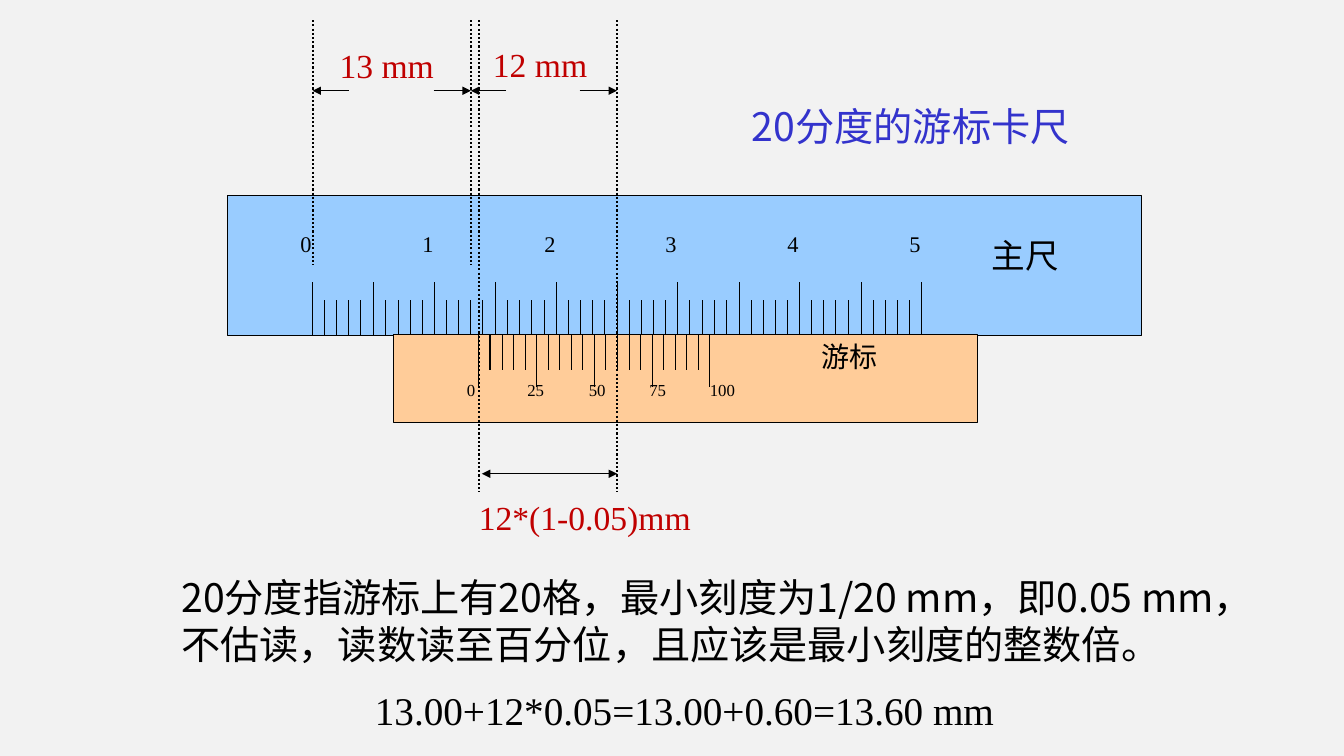
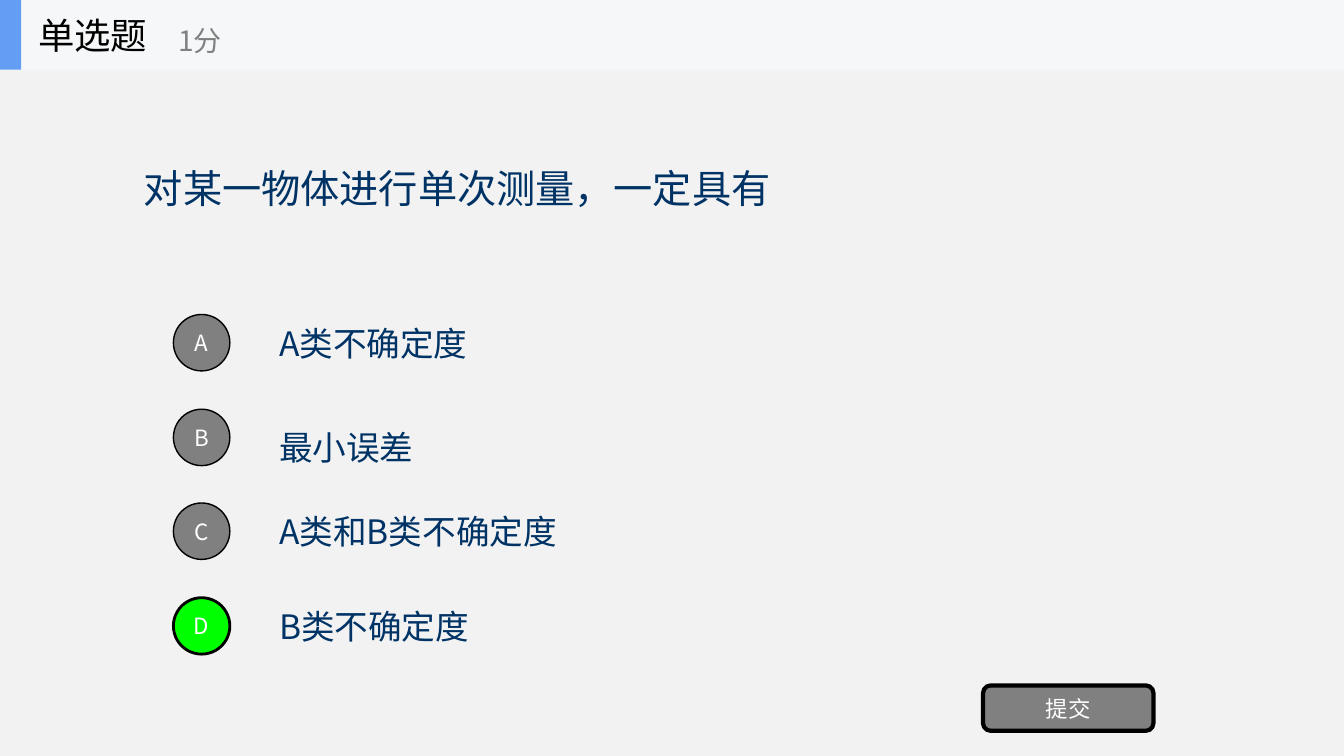
from pptx import Presentation
from pptx.dml.color import RGBColor
from pptx.enum.dml import MSO_LINE
from pptx.enum.shapes import MSO_CONNECTOR, MSO_SHAPE
from pptx.enum.text import MSO_ANCHOR, PP_ALIGN
from pptx.oxml.ns import qn
from pptx.util import Emu, Pt
from lxml.etree import SubElement

PX = 9144
SANS = "Noto Sans CJK SC"
SERIF = "Times New Roman"
COLORS = {
    "background": "F2F2F2",
    "black": "000000",
    "white": "FFFFFF",
    "gray": "808080",
    "main scale": "99CCFF",
    "vernier": "FFCC99",
    "title": "3333CC",
    "measure": "C00000",
    "header": "F6F7F8",
    "accent": "639EF4",
    "question": "003365",
    "correct": "00FF00",
}


def px(length):
    return Emu(length * PX)


def color(name):
    return RGBColor.from_string(COLORS[name])


def write_text(frame, text, size=24, font=SANS, fill="black", align=PP_ALIGN.LEFT,
               anchor=MSO_ANCHOR.TOP, spacing=None, wrap=True, inset=True):
    frame.word_wrap = wrap
    frame.vertical_anchor = anchor
    if not inset:
        frame.margin_left = frame.margin_right = 0
        frame.margin_top = frame.margin_bottom = 0
    paragraph = frame.paragraphs[0]
    paragraph.alignment = align
    if spacing:
        paragraph.line_spacing = spacing
    run = paragraph.add_run()
    run.text = text
    run.font.size = Pt(size)
    run.font.color.rgb = color(fill)
    run.font.name = font
    SubElement(run.font._element, qn("a:ea")).set("typeface", SANS)


class Deck:
    def __init__(self, width, height):
        self.presentation = Presentation()
        self.presentation.slide_width = px(width)
        self.presentation.slide_height = px(height)
        self.slide = None

    def new_slide(self):
        self.slide = self.presentation.slides.add_slide(self.presentation.slide_layouts[6])
        background = self.slide.background.fill
        background.solid()
        background.fore_color.rgb = color("background")

    def text(self, left, top, width, height, text, **style):
        box = self.slide.shapes.add_textbox(px(left), px(top), px(width), px(height))
        write_text(box.text_frame, text, **style)

    def shape(self, left, top, width, height, fill, kind=MSO_SHAPE.RECTANGLE, border=None, label=None):
        shape = self.slide.shapes.add_shape(kind, px(left), px(top), px(width), px(height))
        shape.shadow.inherit = False
        shape.fill.solid()
        shape.fill.fore_color.rgb = color(fill)
        if border:
            shape.line.color.rgb = color("black")
            shape.line.width = Pt(border)
        else:
            shape.line.fill.background()
        if label:
            write_text(shape.text_frame, label, size=16, fill="white", align=PP_ALIGN.CENTER,
                       anchor=MSO_ANCHOR.MIDDLE, wrap=False, inset=False)

    def line(self, x1, y1, x2, y2, width=0.75, dotted=False, arrows=()):
        connector = self.slide.shapes.add_connector(
            MSO_CONNECTOR.STRAIGHT, px(x1), px(y1), px(x2), px(y2))
        connector.line.color.rgb = color("black")
        connector.line.width = Pt(width)
        if dotted:
            connector.line.dash_style = MSO_LINE.ROUND_DOT
        properties = connector._element.spPr
        for end in arrows:
            SubElement(properties.find(qn("a:ln")), qn(f"a:{end}")).set("type", "triangle")
        SubElement(properties, qn("a:effectLst"))

    def ticks(self, first, last, count, base, short, tall):
        for index in range(count + 1):
            x = round(first + (last - first) * index / count)
            self.line(x, base, x, tall if index % 5 == 0 else short)

    def scale_labels(self, first, last, top, width, height, labels, size):
        step = (last - first) / (len(labels) - 1)
        for index, label in enumerate(labels):
            self.text(round(first + step * index), top, width, height, label,
                      size=size, font=SERIF, inset=False)


def build_caliper(deck):
    deck.new_slide()
    deck.shape(226, 194, 906, 139, "main scale", border=0.75)
    deck.ticks(310, 914, 50, base=332, short=298, tall=280)
    deck.scale_labels(298, 902, 228, 24, 27, "012345", 16)
    deck.shape(390, 332, 580, 87, "vernier", border=0.75)
    deck.ticks(475, 704, 20, base=332, short=367, tall=384)
    deck.scale_labels(463, 704, 377, 36, 20, ["0", "25", "50", "75", "100"], 12)
    deck.text(974, 228, 133, 50, "主尺", font=SERIF, spacing=Pt(28.8))
    deck.text(805, 332, 133, 43, "游标", size=20, font=SERIF, spacing=Pt(24))
    deck.text(736, 97, 410, 57, "20分度的游标卡尺", size=28, fill="title", spacing=Pt(33.6))
    deck.text(170, 564, 1101, 104,
              "20分度指游标上有20格，最小刻度为1/20 mm，即0.05 mm，"
              "不估读，读数读至百分位，且应该是最小刻度的整数倍。",
              size=28, spacing=Pt(33.6))
    deck.text(362, 676, 693, 57, "13.00+12*0.05=13.00+0.60=13.60 mm", size=28, font=SERIF)

    for x, bottom in [(310, 263), (467, 263), (475, 488), (612, 488)]:
        deck.line(x, 20, x, bottom, width=1.5, dotted=True)
    for start, end in [(346, 310), (430, 467), (502, 467), (575, 612)]:
        deck.line(start, 90, end, 90, arrows=["tailEnd"])
    deck.line(478, 470, 612, 470, arrows=["headEnd", "tailEnd"])
    for left, top, width, label in [
        (327, 40, 133, "13 mm"),
        (479, 39, 133, "12 mm"),
        (465, 488, 241, "12*(1-0.05)mm"),
    ]:
        deck.text(left, top, width, 51, label, font=SERIF, fill="measure")


def build_question(deck):
    deck.new_slide()
    middle = MSO_ANCHOR.MIDDLE
    deck.shape(0, 0, 1333, 69, "header")
    deck.shape(0, 0, 21, 69, "accent")
    deck.text(28, 0, 208, 69, "单选题", size=26, anchor=middle, wrap=False)
    deck.text(167, 12, 250, 56, "1分", size=20, fill="gray", anchor=middle, wrap=False)
    deck.text(133, 69, 1067, 234, "对某一物体进行单次测量，一定具有",
              size=28, fill="question", anchor=middle)
    options = [
        ("A", "A类不确定度", None),
        ("B", "最小误差", 1.5),
        ("C", "A类和B类不确定度", None),
        ("D", "B类不确定度", None),
    ]
    for index, (letter, answer, spacing) in enumerate(options):
        top = round(305 + 93.75 * index)
        correct = letter == "D"
        deck.text(267, top, 933, 70, answer, fill="question", anchor=middle, spacing=spacing)
        deck.shape(172, top + 7, 56, 56, "correct" if correct else "gray",
                   kind=MSO_SHAPE.OVAL, border=2 if correct else 1, label=letter)
    deck.shape(975, 680, 169, 45, "gray", kind=MSO_SHAPE.ROUNDED_RECTANGLE, border=3, label="提交")


def main():
    deck = Deck(1333, 750)
    build_caliper(deck)
    build_question(deck)
    deck.presentation.save("out.pptx")


if __name__ == "__main__":
    main()
